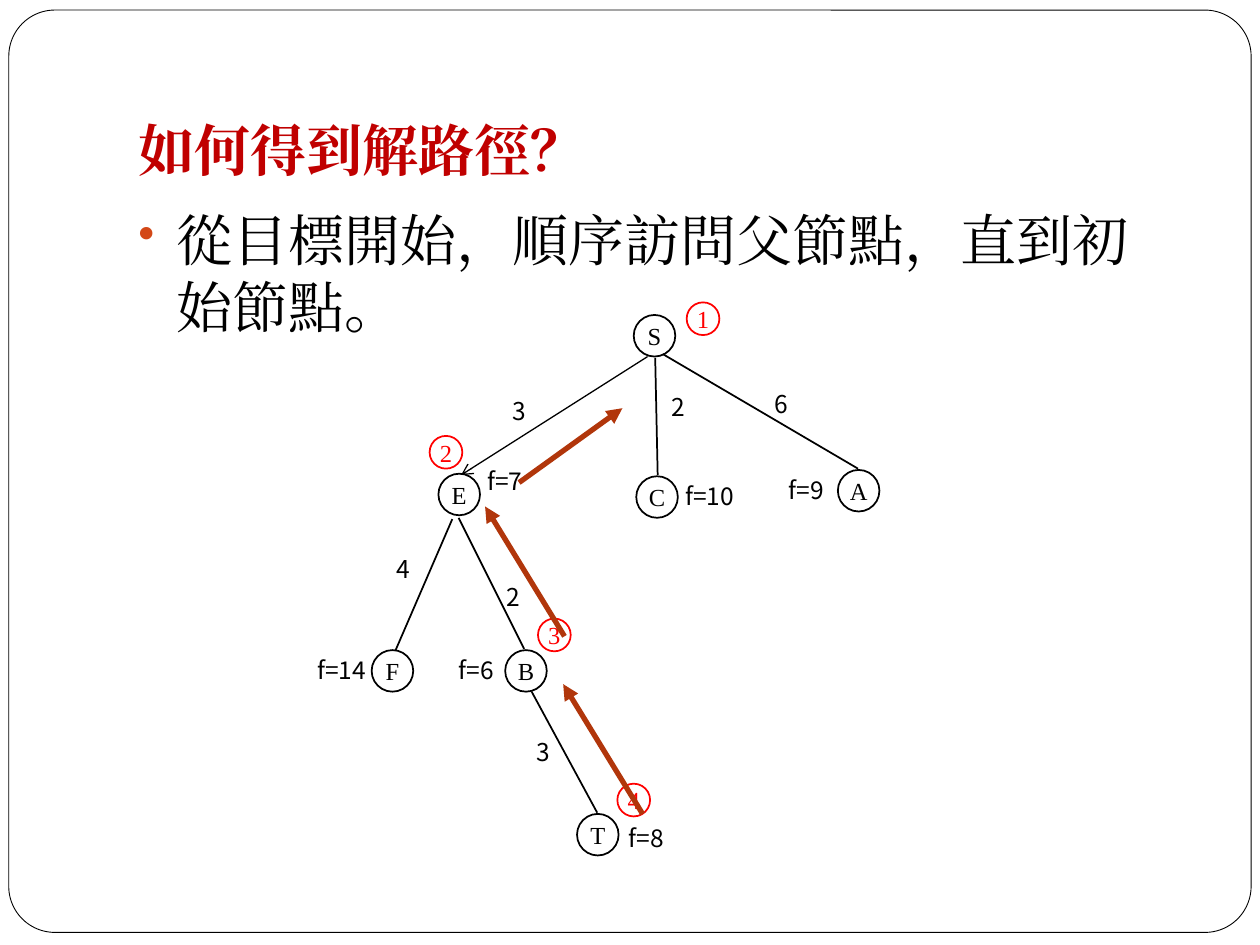
from lxml import etree
from pptx import Presentation
from pptx.dml.color import RGBColor
from pptx.enum.shapes import MSO_CONNECTOR, MSO_SHAPE
from pptx.enum.text import MSO_ANCHOR, PP_ALIGN
from pptx.oxml.ns import qn
from pptx.util import Inches, Pt

ROUNDED, OVAL, RECTANGLE = MSO_SHAPE.ROUNDED_RECTANGLE, MSO_SHAPE.OVAL, MSO_SHAPE.RECTANGLE
STRAIGHT = MSO_CONNECTOR.STRAIGHT
TOP, MIDDLE, BOTTOM = MSO_ANCHOR.TOP, MSO_ANCHOR.MIDDLE, MSO_ANCHOR.BOTTOM
LEFT, CENTER, JUSTIFY = PP_ALIGN.LEFT, PP_ALIGN.CENTER, PP_ALIGN.JUSTIFY

SERIF, SANS = "Times New Roman", "Noto Sans CJK SC"
HEX = {"white": "FFFFFF", "black": "000000", "title": "C00000",
       "bullet": "D34817", "badge": "FF0000", "path": "B1360B"}
COLORS = {name: RGBColor.from_string(value) for name, value in HEX.items()}

presentation = Presentation()
presentation.slide_width, presentation.slide_height = Inches(10), Inches(7.5)
slide = presentation.slides.add_slide(presentation.slide_layouts[6])
shapes = slide.shapes

# Square grid: 100 columns by 75 rows
CELL = presentation.slide_width / 100


def grid(*cells):
    return [round(cell * CELL) for cell in cells]


def write(shape, text, size, font, color, align, anchor, insets=(1, 0.5, 1, 0.5), bold=False):
    frame = shape.text_frame
    frame.word_wrap = True
    frame.vertical_anchor = anchor
    (frame.margin_left, frame.margin_top,
     frame.margin_right, frame.margin_bottom) = grid(*insets)
    paragraph = frame.paragraphs[0]
    paragraph.alignment = align
    run = paragraph.add_run()
    run.text = text
    run.font.size, run.font.name, run.font.bold = Pt(size), font, bold
    run.font.color.rgb = COLORS[color]
    etree.SubElement(run.font._element, qn("a:ea"), typeface=font)
    return paragraph


# Slide frame
border = shapes.add_shape(ROUNDED, *grid(0.7, 0.8, 98.6, 73.2))
border.adjustments[0] = 0.05
border.shadow.inherit = False
border.fill.solid()
border.fill.fore_color.rgb = COLORS["white"]
border.line.color.rgb = COLORS["black"]
border.line.width = Pt(0.5)

# Title and bullet
title = shapes.add_textbox(*grid(10, 3, 85, 12.5))
write(title, "如何得到解路徑？", 32, SERIF, "title", LEFT, BOTTOM, (1, 0.5, 1, 1), bold=True)

body = shapes.add_textbox(*grid(10, 15.8, 85, 50))
bullet = write(body, "從目標開始，順序訪問父節點，直到初始節點。", 32, SERIF, "black",
               LEFT, TOP, (1, 0.5, 1.5, 0.5))
properties = bullet._p.get_or_add_pPr()
indent = grid(3)[0]
properties.set("marL", str(indent))
properties.set("indent", str(-indent))
bullet_color = etree.SubElement(properties, qn("a:buClr"))
etree.SubElement(bullet_color, qn("a:srgbClr"), val=HEX["bullet"])
etree.SubElement(properties, qn("a:buSzPct"), val="85000")
etree.SubElement(properties, qn("a:buChar"), char="•")

# Edge costs and node values: text, left, top
COST_WIDTH, VALUE_WIDTH, LABEL_HEIGHT = 3.6, 6.8, 3.5
costs = [("2", 52.3, 30.6), ("3", 39.7, 30.9), ("6", 60.5, 30.4),
         ("2", 39.2, 45.7), ("4", 30.5, 43.5), ("3", 41.6, 58)]
values = [("f=7", 37.7, 36.5), ("f=10", 53.4, 37.7), ("f=9", 61.6, 37.2),
          ("f=14", 24.2, 51.5), ("f=6", 35.4, 51.5), ("f=8", 48.9, 64.8)]
for labels, width in ((costs, COST_WIDTH), (values, VALUE_WIDTH)):
    for text, left, top in labels:
        label = shapes.add_shape(RECTANGLE, *grid(left, top, width, LABEL_HEIGHT))
        label.shadow.inherit = False
        label.fill.solid()
        label.fill.fore_color.rgb = COLORS["white"]
        label.line.fill.background()
        write(label, text, 14, SANS, "black", JUSTIFY, TOP)

# Tree nodes and visiting order: text, left, top
NODE_SIZE, BADGE_SIZE = 3.3, 2.6
nodes = [("S", 50.3, 25), ("E", 34.8, 37.6), ("C", 50.5, 37.8), ("A", 66.5, 37.3),
         ("B", 40.1, 51.6), ("F", 29.5, 51.6), ("T", 45.8, 64.6)]
badges = [("1", 54.5, 24), ("2", 34.1, 34.6), ("3", 42.7, 49.1), ("4", 49, 62.2)]
for circles, size, color in ((nodes, NODE_SIZE, "black"), (badges, BADGE_SIZE, "badge")):
    for text, left, top in circles:
        circle = shapes.add_shape(OVAL, *grid(left, top, size, size))
        circle.shadow.inherit = False
        circle.fill.background()
        circle.line.color.rgb = COLORS[color]
        circle.line.width = Pt(1)
        write(circle, text, 14, SERIF, color, CENTER, MIDDLE, (0, 0, 0, 0))

# Tree edges, then the path back to the start: from x, y, to x, y
first_edge = [(51.4, 28.3, 36.6, 37.7)]
edges = [(52, 28.4, 52.2, 37.7), (52.6, 28.1, 68.1, 37.2), (35.9, 41.2, 31.4, 51.6),
         (36.4, 41.1, 41.6, 51.5), (42.2, 54.9, 47.4, 64.5)]
path_back = [(51, 64.6, 44.7, 54.3), (44.8, 50.5, 38.5, 40.2), (41.2, 38.3, 49.4, 32.4)]
for group, color, width, head in ((first_edge, "black", 0.75, "arrow"),
                                  (edges, "black", 1, None),
                                  (path_back, "path", 3, "triangle")):
    for ends in group:
        connector = shapes.add_connector(STRAIGHT, *grid(*ends))
        connector.line.color.rgb = COLORS[color]
        connector.line.width = Pt(width)
        if head:
            etree.SubElement(connector.line._get_or_add_ln(), qn("a:tailEnd"), type=head)
        etree.SubElement(connector._element.spPr, qn("a:effectLst"))

presentation.save("out.pptx")
